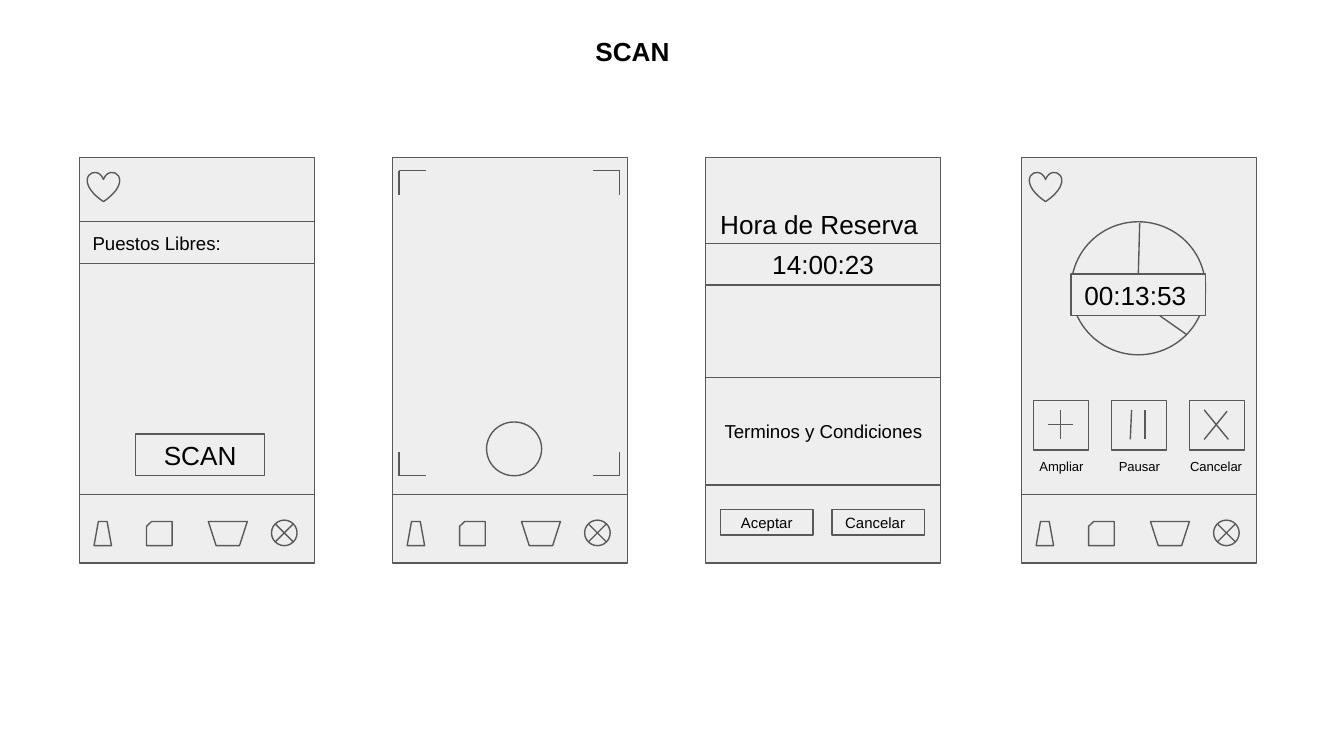
from lxml import etree
from pptx import Presentation
from pptx.dml.color import RGBColor
from pptx.enum.shapes import MSO_CONNECTOR, MSO_SHAPE as SHAPE
from pptx.enum.text import MSO_ANCHOR as ANCHOR, MSO_AUTO_SIZE, PP_ALIGN as ALIGN
from pptx.oxml.ns import qn
from pptx.util import Inches, Pt

FILL, STROKE, INK = "EEEEEE", "595959", "000000"
WIDTH, HEIGHT = 1.75, 3.02


def color(value):
    """Turn a hex string into a colour."""
    return RGBColor.from_string(value)


def write(shape, text, size, align=ALIGN.LEFT, anchor=ANCHOR.TOP, bold=False, tabs=()):
    """Put one formatted paragraph into a shape, with centred tab stops if given."""
    frame = shape.text_frame
    margin = Inches(0.1)
    frame_format = {
        "word_wrap": True, "auto_size": MSO_AUTO_SIZE.NONE, "vertical_anchor": anchor,
        "margin_left": margin, "margin_right": margin,
        "margin_top": margin, "margin_bottom": margin,
    }
    for name, value in frame_format.items():
        setattr(frame, name, value)
    paragraph = frame.paragraphs[0]
    paragraph.alignment = align
    if tabs:
        tab_list = etree.SubElement(paragraph._p.get_or_add_pPr(), qn("a:tabLst"))
        for position in tabs:
            etree.SubElement(tab_list, qn("a:tab"), pos=str(Inches(position)), algn="ctr")
    run = paragraph.add_run()
    run.text = text
    for name, value in {"name": "Arial", "size": Pt(size), "bold": bold}.items():
        setattr(run.font, name, value)
    run.font.color.rgb = color(INK)


def add_box(slide, kind, left, top, width, height):
    """Add a grey outlined preset shape."""
    shape = slide.shapes.add_shape(
        kind, Inches(left), Inches(top), Inches(width), Inches(height))
    shape.shadow.inherit = False
    shape.fill.solid()
    shape.fill.fore_color.rgb = color(FILL)
    shape.line.color.rgb = color(STROKE)
    shape.line.width = Pt(0.75)
    return shape


def add_field(slide, left, top, width, height, text, size, align=ALIGN.CENTER):
    """Add a rectangle with vertically centred text."""
    shape = add_box(slide, SHAPE.RECTANGLE, left, top, width, height)
    write(shape, text, size, align, ANCHOR.MIDDLE)


def add_label(slide, left, top, width, height, text, size, tabs=()):
    """Add a plain text box."""
    shape = slide.shapes.add_textbox(
        Inches(left), Inches(top), Inches(width), Inches(height))
    write(shape, text, size, tabs=tabs)


def add_lines(slide, left, top, segments):
    """Add straight lines given as x1, y1, x2, y2 from the corner of a box."""
    for x1, y1, x2, y2 in segments:
        line = slide.shapes.add_connector(
            MSO_CONNECTOR.STRAIGHT, Inches(left + x1), Inches(top + y1),
            Inches(left + x2), Inches(top + y2))
        line.line.color.rgb = color(STROKE)
        line.line.width = Pt(0.75)
        etree.SubElement(line._element.spPr, qn("a:effectLst"))


def add_title(slide, text):
    """Move and fill the title placeholder."""
    title = slide.shapes.title
    box = {"left": 4.33, "top": 0.16, "width": 3.14, "height": 0.54}
    for name, value in box.items():
        setattr(title, name, Inches(value))
    write(title, text, 14, bold=True)


def add_phone(slide, left, top):
    """Add the outline of a phone screen."""
    add_box(slide, SHAPE.RECTANGLE, left, top, WIDTH, HEIGHT)


def add_heart(slide, left, top):
    """Add the favourite icon in the corner of a screen."""
    add_box(slide, SHAPE.HEART, left + 0.06, top + 0.11, 0.24, 0.22)


def add_navigation(slide, left, top):
    """Add the bottom bar with its four icons."""
    icons = [
        (SHAPE.TRAPEZOID, 0.11, 2.71, 0.13, 0.18),
        (SHAPE.FLOWCHART_CARD, 0.5, 2.71, 0.19, 0.18),
        (SHAPE.FLOWCHART_MANUAL_OPERATION, 0.96, 2.71, 0.29, 0.18),
        (SHAPE.FLOWCHART_SUMMING_JUNCTION, 1.43, 2.7, 0.19, 0.19),
    ]
    for kind, x, y, width, height in icons:
        add_box(slide, kind, left + x, top + y, width, height)
    add_lines(slide, left, top, [(0, 2.51, WIDTH, 2.51)])


def add_start_screen(slide, left, top):
    """Add the screen with free places and the scan button."""
    add_phone(slide, left, top)
    add_navigation(slide, left, top)
    add_field(slide, left + 0.42, top + 2.06, 0.96, 0.31, "SCAN", 14)
    add_field(slide, left, top + 0.48, WIDTH, 0.31, "Puestos Libres:", 10, ALIGN.LEFT)
    add_heart(slide, left, top)


def add_camera_screen(slide, left, top):
    """Add the screen with the viewfinder and the shutter."""
    add_phone(slide, left, top)
    for y, dy in ((0.1, 0.18), (2.37, -0.18)):
        for x, dx in ((0.05, 0.2), (1.69, -0.2)):
            add_lines(slide, left, top, [(x, y, x + dx, y), (x, y, x, y + dy)])
    add_navigation(slide, left, top)
    add_box(slide, SHAPE.OVAL, left + 0.7, top + 1.97, 0.41, 0.4)


def add_booking_screen(slide, left, top):
    """Add the screen that confirms the booking time."""
    add_phone(slide, left, top)
    add_field(slide, left + 0.11, top + 2.62, 0.69, 0.19, "Aceptar", 8)
    add_field(slide, left + 0.94, top + 2.62, 0.69, 0.19, "Cancelar", 8, ALIGN.LEFT)
    add_field(slide, left, top + 1.64, WIDTH, 0.8, "Terminos y Condiciones", 10)
    add_field(slide, left, top + 0.64, WIDTH, 0.31, "14:00:23", 14)
    add_label(slide, left + 0.01, top + 0.28, WIDTH, 0.31, "Hora de Reserva", 14)


def add_timer_screen(slide, left, top):
    """Add the screen with the running clock and its three controls."""
    add_phone(slide, left, top)
    add_navigation(slide, left, top)
    add_box(slide, SHAPE.OVAL, left + 0.37, top + 0.48, 1, 0.99)
    add_field(slide, left + 0.37, top + 0.87, 1, 0.31, "00:13:53", 14, ALIGN.LEFT)
    add_lines(slide, left, top, [(0.88, 0.49, 0.87, 0.87), (1.03, 1.18, 1.23, 1.32)])
    controls = [
        [(0.2, 0.07, 0.2, 0.29), (0.29, 0.18, 0.11, 0.18)],
        [(0.15, 0.07, 0.14, 0.29), (0.25, 0.07, 0.25, 0.29)],
        [(0.28, 0.08, 0.11, 0.29), (0.11, 0.07, 0.29, 0.29)],
    ]
    for index, segments in enumerate(controls):
        x, y = left + 0.09 + 0.58 * index, top + 1.81
        add_box(slide, SHAPE.RECTANGLE, x, y, 0.41, 0.37)
        add_lines(slide, x, y, segments)
    add_label(slide, left - 0.02, top + 2.14, 1.84, 0.22,
              "\tAmpliar\tPausar\tCancelar", 7, tabs=(0.22, 0.8, 1.37))
    add_heart(slide, left, top)


def main():
    """Build and save the slide."""
    presentation = Presentation()
    presentation.slide_width = Inches(10)
    presentation.slide_height = Inches(10) * 9 // 16
    slide = presentation.slides.add_slide(presentation.slide_layouts[5])
    add_title(slide, "SCAN")
    screens = [
        (add_start_screen, 0.59), (add_camera_screen, 2.92),
        (add_booking_screen, 5.25), (add_timer_screen, 7.6),
    ]
    for add_screen, left in screens:
        add_screen(slide, left, 1.17)
    presentation.save("out.pptx")


if __name__ == "__main__":
    main()
